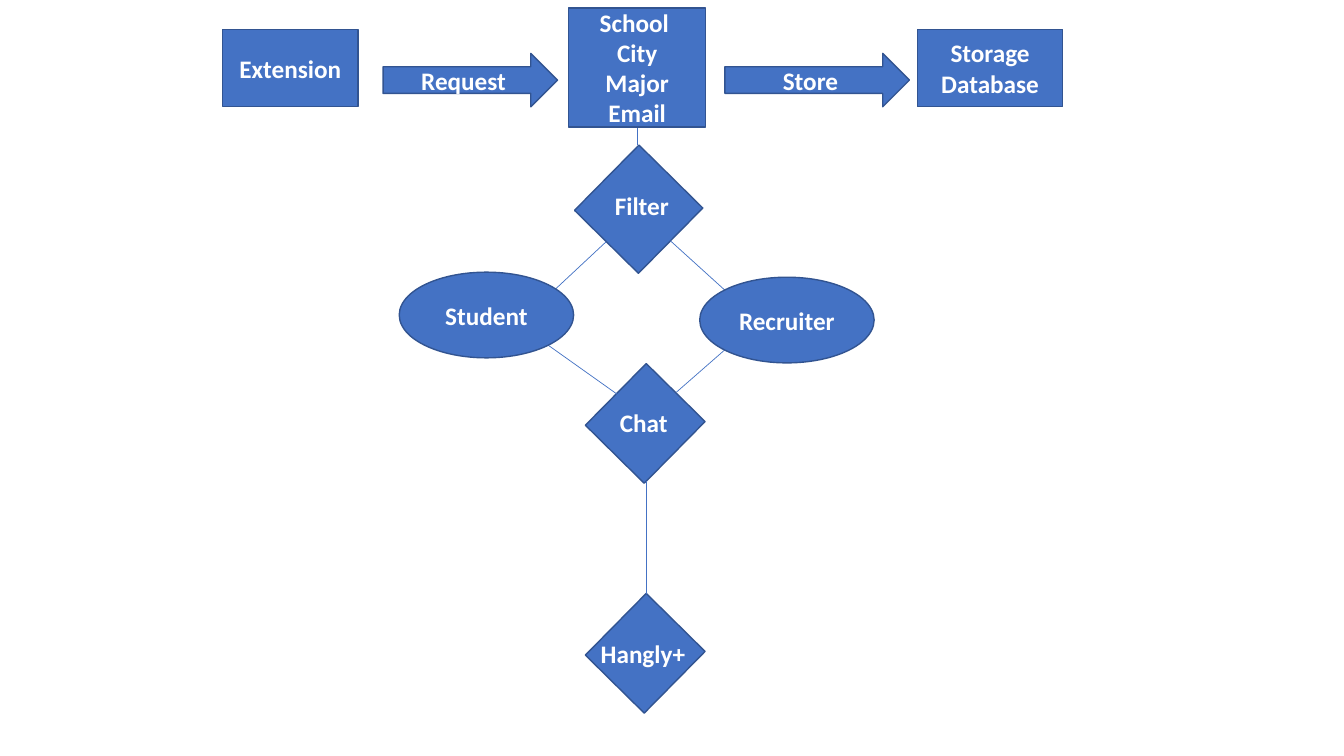
import pptx
import pptx.util
import pptx.dml.color
import pptx.enum.shapes
import pptx.enum.text
import lxml.etree
import pptx.oxml.ns

Inches = pptx.util.Inches
Pt = pptx.util.Pt
RGBColor = pptx.dml.color.RGBColor
Kind = pptx.enum.shapes.MSO_SHAPE
Align = pptx.enum.text.PP_ALIGN

BLUE = RGBColor(0x44, 0x72, 0xC4)
EDGE = RGBColor(0x32, 0x54, 0x91)
WHITE = RGBColor(0xFF, 0xFF, 0xFF)
FONT = "Calibri"


def write(frame, lines, align):
    """Put each line in its own paragraph as a bold white run."""
    frame.word_wrap = True
    for i, line in enumerate(lines):
        para = frame.paragraphs[0] if i == 0 else frame.add_paragraph()
        para.alignment = align
        run = para.add_run()
        run.text = line
        run.font.name = FONT
        run.font.size = Pt(18)
        run.font.bold = True
        run.font.color.rgb = WHITE


def node(slide, kind, box, *lines):
    """Add a blue shape with centred text."""
    shape = slide.shapes.add_shape(kind, *map(Inches, box))
    shape.shadow.inherit = False
    shape.fill.solid()
    shape.fill.fore_color.rgb = BLUE
    shape.line.color.rgb = EDGE
    shape.line.width = Pt(1)
    shape.text_frame.vertical_anchor = pptx.enum.text.MSO_ANCHOR.MIDDLE
    write(shape.text_frame, lines, Align.CENTER)
    return shape


def gem(slide, box, left, top, text):
    """Add a tilted square with a level label over it."""
    node(slide, Kind.RECTANGLE, box).rotation = 314.6
    label = slide.shapes.add_textbox(*map(Inches, (left, top, 1.13, 0.4)))
    write(label.text_frame, [text], Align.LEFT)


def link(slide, x1, y1, x2, y2):
    """Add a thin straight line between two points."""
    line = slide.shapes.add_connector(
        pptx.enum.shapes.MSO_CONNECTOR.STRAIGHT,
        *map(Inches, (x1, y1, x2, y2)))
    line.line.color.rgb = BLUE
    line.line.width = Pt(0.5)
    props = line.element.find(pptx.oxml.ns.qn("p:spPr"))
    lxml.etree.SubElement(props, pptx.oxml.ns.qn("a:effectLst"))


def main():
    """Build the flow chart slide."""
    deck = pptx.Presentation()
    deck.slide_width = Inches(13.33)
    deck.slide_height = Inches(7.5)
    slide = deck.slides.add_slide(deck.slide_layouts[6])

    gem(slide, (5.88, 1.63, 0.91, 0.89), 6, 1.84, "Filter")
    gem(slide, (5.97, 3.79, 0.86, 0.82), 6.05, 3.99, "Chat")
    gem(slide, (5.97, 6.07, 0.86, 0.82), 5.86, 6.28, "Hangly+")

    for ends in ((6.01, 2.4, 5.4, 2.97), (6.65, 2.39, 7.29, 2.97),
                 (6.12, 3.91, 5.43, 3.42), (7.19, 3.47, 6.71, 3.89),
                 (6.41, 4.77, 6.41, 5.89), (6.32, 1.44, 6.32, 1.26)):
        link(slide, *ends)

    node(slide, Kind.OVAL, (3.96, 2.7, 1.73, 0.85), "Student")
    node(slide, Kind.OVAL, (6.94, 2.75, 1.73, 0.85), "Recruiter")

    node(slide, Kind.RECTANGLE, (2.21, 0.29, 1.34, 0.77), "Extension")
    node(slide, Kind.RIGHT_ARROW, (3.8, 0.53, 1.73, 0.53), "Request")
    node(slide, Kind.RECTANGLE, (5.64, 0.08, 1.36, 1.18),
         "School ", "City", "Major", "Email")
    node(slide, Kind.RIGHT_ARROW, (7.19, 0.53, 1.83, 0.53), "Store")
    node(slide, Kind.RECTANGLE, (9.1, 0.29, 1.44, 0.77), "Storage Database")

    deck.save("out.pptx")


main()
